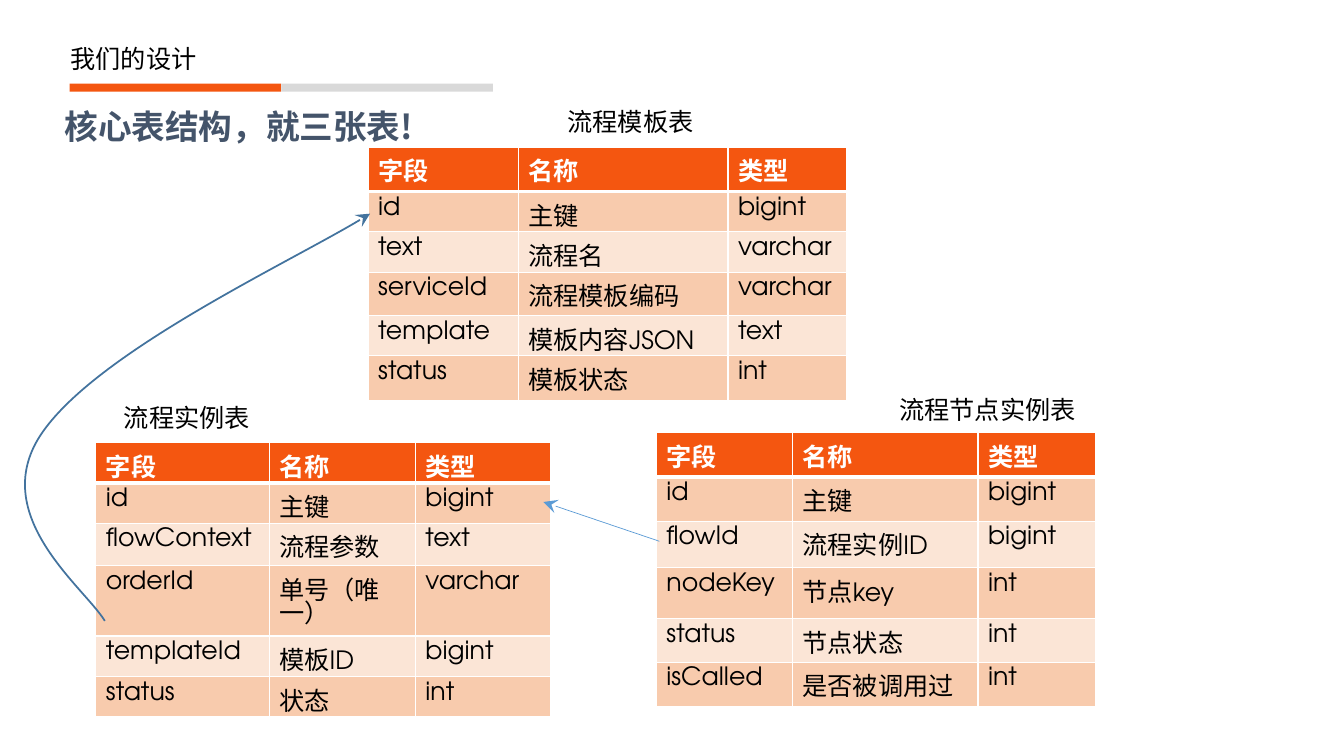
import pptx
import pptx.dml.color
import pptx.enum.shapes
import pptx.enum.text
import pptx.oxml
import pptx.oxml.ns
import pptx.util
from pptx.util import Inches

CJK_FONT = "Noto Sans CJK SC"
BODY_FONT = "TeX Gyre Adventor"
ORANGE, GREY, WHITE, BLACK = "F45610", "D9D9D9", "FFFFFF", "000000"
ROW_FILLS = ["F8CBAD", "FBE5D6"]

TITLE = "我们的设计"
HEADING = "核心表结构，就三张表!"
HEADER = ("字段", "名称", "类型")
TABLES = [
    {
        "label": "流程实例表", "label_at": (1.13, 3.94), "at": (0.95, 4.39),
        "columns": [1.72, 1.45, 1.34], "heights": [0.4, 0.4, 0.42, 0.7, 0.4, 0.4],
        "fields": [
            ("id", "主键", "bigint"),
            ("flowContext", "流程参数", "text"),
            ("orderId", "单号（唯一）", "varchar"),
            ("templateId", "模板ID", "bigint"),
            ("status", "状态", "int"),
        ],
    },
    {
        "label": "流程节点实例表", "label_at": (8.82, 3.86), "at": (6.51, 4.29),
        "columns": [1.35, 1.84, 1.17], "heights": [0.44, 0.44, 0.46, 0.51, 0.43, 0.44],
        "fields": [
            ("id", "主键", "bigint"),
            ("flowId", "流程实例ID", "bigint"),
            ("nodeKey", "节点key", "int"),
            ("status", "节点状态", "int"),
            ("isCalled", "是否被调用过", "int"),
        ],
    },
    {
        "label": "流程模板表", "label_at": (5.53, 1.01), "at": (3.65, 1.46),
        "columns": [1.49, 2.08, 1.18], "heights": [0.44, 0.4, 0.4, 0.43, 0.4, 0.44],
        "fields": [
            ("id", "主键", "bigint"),
            ("text", "流程名", "varchar"),
            ("serviceId", "流程模板编码", "varchar"),
            ("template", "模板内容JSON", "text"),
            ("status", "模板状态", "int"),
        ],
    },
]
# Curve from the instance table to the template table
CURVE_START, CURVE_LEFTMOST, CURVE_END = (1.04, 6.16), (0.25, 4.8), (3.67, 2.12)
CURVE_SEGMENTS = [
    [(0.84, 5.83), (-0.12, 5.12), (0.4, 4.32)],
    [(0.93, 3.51), (3.01, 2.54), CURVE_END],
]


def color(value):
    return pptx.dml.color.RGBColor.from_string(value)


def add_xml(parent, tag, **attributes):
    element = pptx.oxml.parse_xml(f"<a:{tag} {pptx.oxml.ns.nsdecls('a')}/>")
    for name, value in attributes.items():
        element.set(name, str(value))
    parent.append(element)
    return element


def format_text(text_frame, font_name, size, font_color, bold=False):
    for paragraph in text_frame.paragraphs:
        paragraph.alignment = pptx.enum.text.PP_ALIGN.LEFT
        for run in paragraph.runs:
            run.font.name = font_name
            run.font.size = pptx.util.Pt(size)
            run.font.bold = bold
            run.font.color.rgb = color(font_color)
            add_xml(run.font._element, "ea", typeface=font_name)


def place_text(shape, box, text, font_name, size, font_color, bold=False, side=0.1):
    shape.left, shape.top, shape.width, shape.height = map(Inches, box)
    frame = shape.text_frame
    frame.text = text
    frame.word_wrap = True
    frame.auto_size = pptx.enum.text.MSO_AUTO_SIZE.NONE
    frame.vertical_anchor = pptx.enum.text.MSO_ANCHOR.MIDDLE
    frame.margin_left = frame.margin_right = Inches(side)
    format_text(frame, font_name, size, font_color, bold)


def set_borders(cell, row_index):
    properties = cell._tc.get_or_add_tcPr()
    thick_side = {0: "lnB", 1: "lnT"}.get(row_index)
    for side in ("lnL", "lnR", "lnT", "lnB"):
        points = 3 if side == thick_side else 1
        border = add_xml(properties, side, w=pptx.util.Pt(points))
        add_xml(add_xml(border, "solidFill"), "srgbClr", val=WHITE)


def add_field_table(slide, data):
    rows = [HEADER] + data["fields"]
    left, top = data["at"]
    frame = slide.shapes.add_table(
        len(rows), len(HEADER), Inches(left), Inches(top),
        Inches(sum(data["columns"])), Inches(sum(data["heights"])))
    table = frame.table
    for column, width in zip(table.columns, data["columns"]):
        column.width = Inches(width)
    for row_index, (values, height) in enumerate(zip(rows, data["heights"])):
        table.rows[row_index].height = Inches(height)
        is_header = row_index == 0
        for column_index, value in enumerate(values):
            cell = table.cell(row_index, column_index)
            cell.text_frame.text = value
            format_text(cell.text_frame, BODY_FONT, 18, WHITE if is_header else BLACK, is_header)
            # Chinese text sits lower in its row than Latin text
            if not value.isascii():
                cell.margin_top, cell.margin_bottom = Inches(0.15), 0
            set_borders(cell, row_index)
            cell.fill.solid()
            cell.fill.fore_color.rgb = color(ORANGE if is_header else ROW_FILLS[(row_index - 1) % 2])


def style_arrow(shape, line_color, width):
    shape.line.color.rgb = color(line_color)
    shape.line.width = pptx.util.Pt(width)
    add_xml(shape.line._get_or_add_ln(), "tailEnd", type="stealth", w="lg", len="lg")


def add_curve(slide):
    to_emu = lambda point: tuple(Inches(value) for value in point)
    builder = slide.shapes.build_freeform(*to_emu(CURVE_START))
    builder.add_line_segments([to_emu(CURVE_LEFTMOST), to_emu(CURVE_END)], close=False)
    curve = builder.convert_to_shape()
    # Turn the straight segments into cubic ones
    for straight, points in zip(curve._element.xpath(".//a:lnTo"), CURVE_SEGMENTS):
        outline = straight.getparent()
        outline.remove(straight)
        cubic = add_xml(outline, "cubicBezTo")
        for x, y in map(to_emu, points):
            add_xml(cubic, "pt", x=x - curve.left, y=y - curve.top)
    curve.fill.background()
    curve.shadow.inherit = False
    style_arrow(curve, "43739E", 1.25)


def main():
    presentation = pptx.Presentation()
    presentation.slide_width, presentation.slide_height = Inches(13.33), Inches(7.5)
    slide = presentation.slides.add_slide(presentation.slide_layouts[5])

    # Title, two-part rule and heading
    title = slide.shapes.title
    place_text(title, (0.6, 0.38, 1.45, 0.4), TITLE, CJK_FONT, 18, BLACK)
    title.text_frame.margin_right = 0
    for index, bar_color in enumerate([ORANGE, GREY]):
        bar = slide.shapes.add_shape(
            pptx.enum.shapes.MSO_SHAPE.RECTANGLE,
            Inches(0.69 + index * 2.1), Inches(0.83), Inches(2.1), Inches(0.08))
        bar.fill.solid()
        bar.fill.fore_color.rgb = color(bar_color)
        bar.line.fill.background()
        bar.shadow.inherit = False
    heading = slide.shapes.add_textbox(0, 0, 0, 0)
    place_text(heading, (0.44, 0.95, 9.53, 0.6), HEADING, CJK_FONT, 24, "44546A", True, side=0.2)

    # Tables with their labels
    for data in TABLES:
        add_field_table(slide, data)
        label = slide.shapes.add_textbox(0, 0, 0, 0)
        place_text(label, (*data["label_at"], 1.97, 0.4), data["label"], BODY_FONT, 18, BLACK)

    # Links between the tables
    add_curve(slide)
    link = slide.shapes.add_connector(
        pptx.enum.shapes.MSO_CONNECTOR.STRAIGHT,
        Inches(6.54), Inches(5.37), Inches(5.39), Inches(4.98))
    style_arrow(link, "5B9BD5", 0.5)
    add_xml(link._element.spPr, "effectLst")

    presentation.save("out.pptx")


if __name__ == "__main__":
    main()
